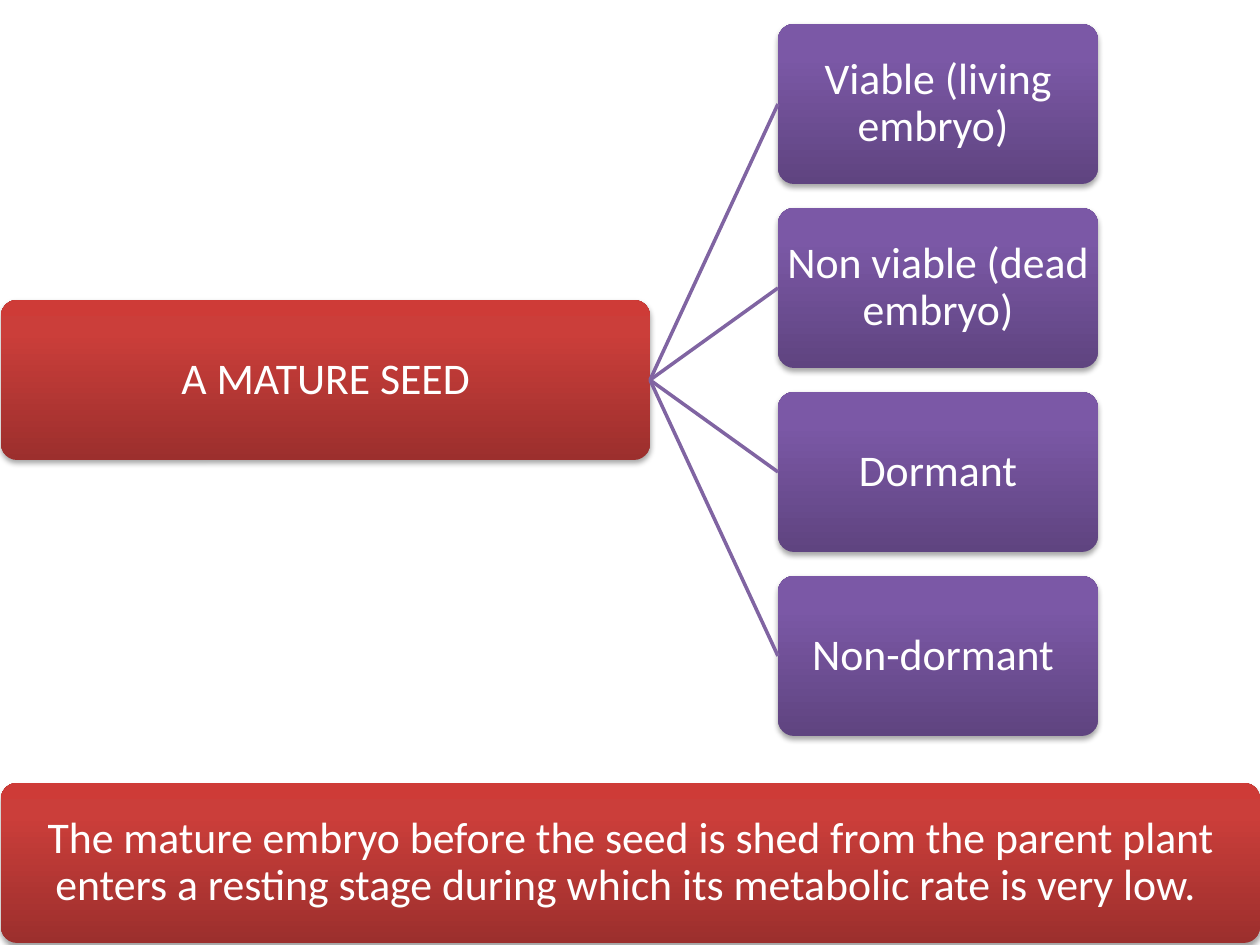
from dataclasses import dataclass

from lxml import etree
from pptx import Presentation, util as u
from pptx.dml.color import RGBColor
from pptx.enum import shapes, text
from pptx.oxml import parse_xml
from pptx.oxml.ns import nsdecls, qn

PX_PER_INCH = 126
COLORS = {
    "text": "FFFFFF",
    "branch": "8064A2",
    "shadow": "000000",
    "red_dark": "9C2F2D",
    "red_mid": "CB3E3A",
    "red_light": "CE3B37",
    "purple_dark": "5F4480",
    "purple_mid": "7B58A6",
    "purple_light": "7C57A8",
}
BOX_HEIGHT = 160
OUTCOME_LEFT, OUTCOME_TOP, OUTCOME_WIDTH, OUTCOME_STEP = 778, 24, 320, 184
OUTCOMES = ["Viable (living embryo) ", "Non viable (dead embryo)", "Dormant", "Non-dormant "]


@dataclass
class Box:
    left: int
    top: int
    width: int
    hue: str
    label: str


def px(length: int) -> u.Emu:
    return u.Emu(round(length * 914400 / PX_PER_INCH))


def add_gradient_and_shadow(box, hue: str) -> None:
    """Dark at the bottom, light at the top, with a soft shadow below."""
    stops = "".join(
        f'<a:gs pos="{position * 1000}"><a:srgbClr val="{COLORS[f"{hue}_{tone}"]}"/></a:gs>'
        for position, tone in ((0, "dark"), (80, "mid"), (100, "light"))
    )
    gradient = parse_xml(
        f'<a:gradFill {nsdecls("a")} rotWithShape="1"><a:gsLst>{stops}</a:gsLst>'
        '<a:lin ang="16200000" scaled="0"/></a:gradFill>'
    )
    shadow = parse_xml(
        f'<a:outerShdw {nsdecls("a")} blurRad="{u.Pt(3.1)}" dist="{u.Pt(1.8)}" dir="5400000" '
        f'rotWithShape="0"><a:srgbClr val="{COLORS["shadow"]}"><a:alpha val="35000"/>'
        "</a:srgbClr></a:outerShdw>"
    )
    properties = box._element.spPr
    properties.find(qn("a:prstGeom")).addnext(gradient)
    box.shadow.inherit = False
    properties.find(qn("a:effectLst")).append(shadow)


def add_box(slide, item: Box):
    box = slide.shapes.add_shape(
        shapes.MSO_SHAPE.ROUNDED_RECTANGLE,
        px(item.left), px(item.top), px(item.width), px(BOX_HEIGHT),
    )
    box.adjustments[0] = 0.1
    box.line.fill.background()
    add_gradient_and_shadow(box, item.hue)

    frame = box.text_frame
    frame.word_wrap = True
    frame.vertical_anchor = text.MSO_ANCHOR.MIDDLE
    frame.margin_left = frame.margin_right = px(2)
    frame.margin_top = frame.margin_bottom = px(2)
    paragraph = frame.paragraphs[0]
    paragraph.alignment = text.PP_ALIGN.CENTER
    paragraph.line_spacing = 0.9
    run = paragraph.add_run()
    run.text = item.label
    run.font.name = "Calibri"
    run.font.size = u.Pt(25)
    run.font.color.rgb = RGBColor.from_string(COLORS["text"])
    return box


def add_branch(slide, seed, outcome) -> None:
    branch = slide.shapes.add_connector(shapes.MSO_CONNECTOR.STRAIGHT, 0, 0, 0, 0)
    branch.begin_connect(seed, 3)
    branch.end_connect(outcome, 1)
    branch.line.color.rgb = RGBColor.from_string(COLORS["branch"])
    branch.line.width = u.Pt(2)
    etree.SubElement(branch._element.spPr, qn("a:effectLst"))


def main() -> None:
    deck = Presentation()
    deck.slide_width, deck.slide_height = px(1260), px(945)
    slide = deck.slides.add_slide(deck.slide_layouts[6])

    # Seed and its four possible states
    seed = add_box(slide, Box(1, 300, 649, "red", "A MATURE SEED"))
    for row, label in enumerate(OUTCOMES):
        top = OUTCOME_TOP + row * OUTCOME_STEP
        outcome = add_box(slide, Box(OUTCOME_LEFT, top, OUTCOME_WIDTH, "purple", label))
        add_branch(slide, seed, outcome)

    # Explanation across the bottom
    add_box(slide, Box(
        1, 783, 1259, "red",
        "The mature embryo before the seed is shed from the parent plant "
        "enters a resting stage during which its metabolic rate is very low. ",
    ))

    deck.save("out.pptx")


if __name__ == "__main__":
    main()
